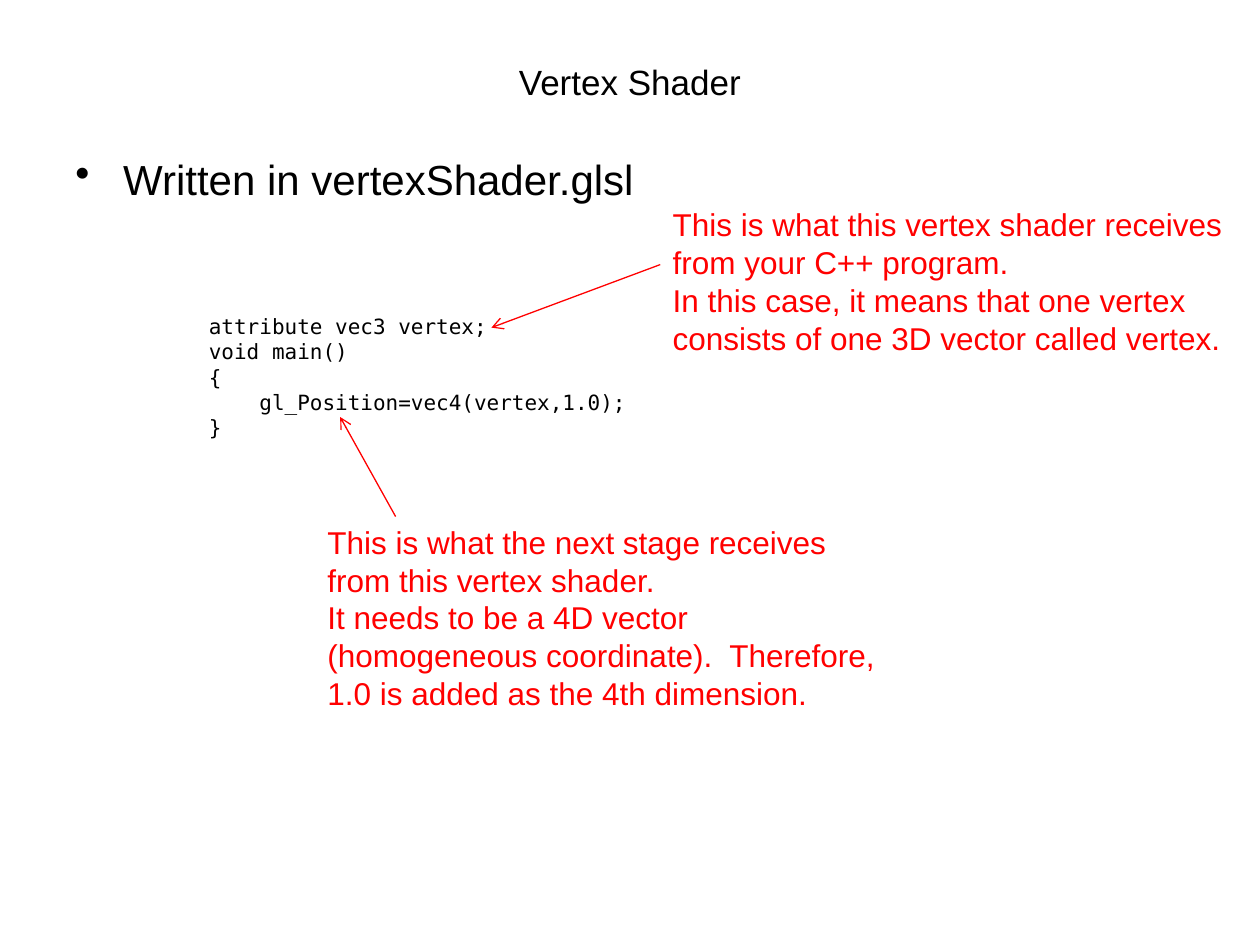
"""Build the vertex shader slide with its code sample and two notes."""
from lxml import etree
from pptx import Presentation, util as u
from pptx.dml.color import RGBColor
from pptx.enum import shapes, text
from pptx.oxml.ns import qn

BLACK, RED = "000000", "FF0000"
SANS, MONO = "Arial", "DejaVu Sans Mono"

TITLE = ["Vertex Shader"]
POINT = ["Written in vertexShader.glsl"]
CODE = [
    "attribute vec3 vertex;",
    "void main()",
    "{",
    "    gl_Position=vec4(vertex,1.0);",
    "}",
]
NOTES = [
    {
        "lines": "This is what this vertex shader receives from your C++ program.\n"
                 "In this case, it means that one vertex consists of one 3D vector "
                 "called vertex.",
        "box": (5.24, 1.58, 4.71, 1.31),
        "arrow": (5.24, 2.1, 3.9, 2.6),
    },
    {
        "lines": "This is what the next stage receives from this vertex shader.\n"
                 "It needs to be a 4D vector (homogeneous coordinate).  Therefore, "
                 "1.0 is added as the 4th dimension.",
        "box": (2.5, 4.1, 4.71, 1.62),
        "arrow": (3.14, 4.1, 2.7, 3.31),
    },
]


def paint(color, code):
    color.rgb = RGBColor.from_string(code)


def add_text(slide, box, lines, size, font=SANS, color=BLACK, wrap=True):
    frame = slide.shapes.add_textbox(*map(u.Inches, box)).text_frame
    frame.word_wrap = wrap
    for i, line in enumerate(lines):
        para = frame.add_paragraph() if i else frame.paragraphs[0]
        para.text = line
        para.font.size = u.Pt(size)
        para.font.name = font
        paint(para.font.color, color)
    return frame


def add_bullet(para, indent):
    props = para._p.get_or_add_pPr()
    props.set("marL", str(u.Inches(indent)))
    props.set("indent", str(-u.Inches(indent)))
    mark = etree.Element(qn("a:buChar"), char="•")
    props.insert_element_before(mark, "a:tabLst", "a:defRPr", "a:extLst")


def add_arrow(slide, ends):
    line = slide.shapes.add_connector(
        shapes.MSO_CONNECTOR.STRAIGHT, *map(u.Inches, ends))
    paint(line.line.color, RED)
    line.line.width = u.Pt(0.75)
    etree.SubElement(line.line._get_or_add_ln(), qn("a:tailEnd"), type="arrow")
    etree.SubElement(line._element.spPr, qn("a:effectLst"))


def main():
    deck = Presentation()
    deck.slide_width, deck.slide_height = u.Inches(10), u.Inches(7.5)
    slide = deck.slides.add_slide(deck.slide_layouts[6])

    title = add_text(slide, (0.5, 0.3, 9, 0.7), TITLE, 20)
    title.vertical_anchor = text.MSO_ANCHOR.MIDDLE
    title.paragraphs[0].alignment = text.PP_ALIGN.CENTER

    point = add_text(slide, (0.5, 1.17, 9, 0.83), POINT, 24).paragraphs[0]
    point.space_before = u.Pt(3)
    add_bullet(point, 0.38)

    add_text(slide, (1.56, 2.44, 3.56, 1.31), CODE, 12, MONO, wrap=False)
    for note in NOTES:
        add_arrow(slide, note["arrow"])
        frame = add_text(slide, note["box"], [note["lines"]], 18, color=RED)
        frame.auto_size = text.MSO_AUTO_SIZE.SHAPE_TO_FIT_TEXT

    deck.save("out.pptx")


if __name__ == "__main__":
    main()
